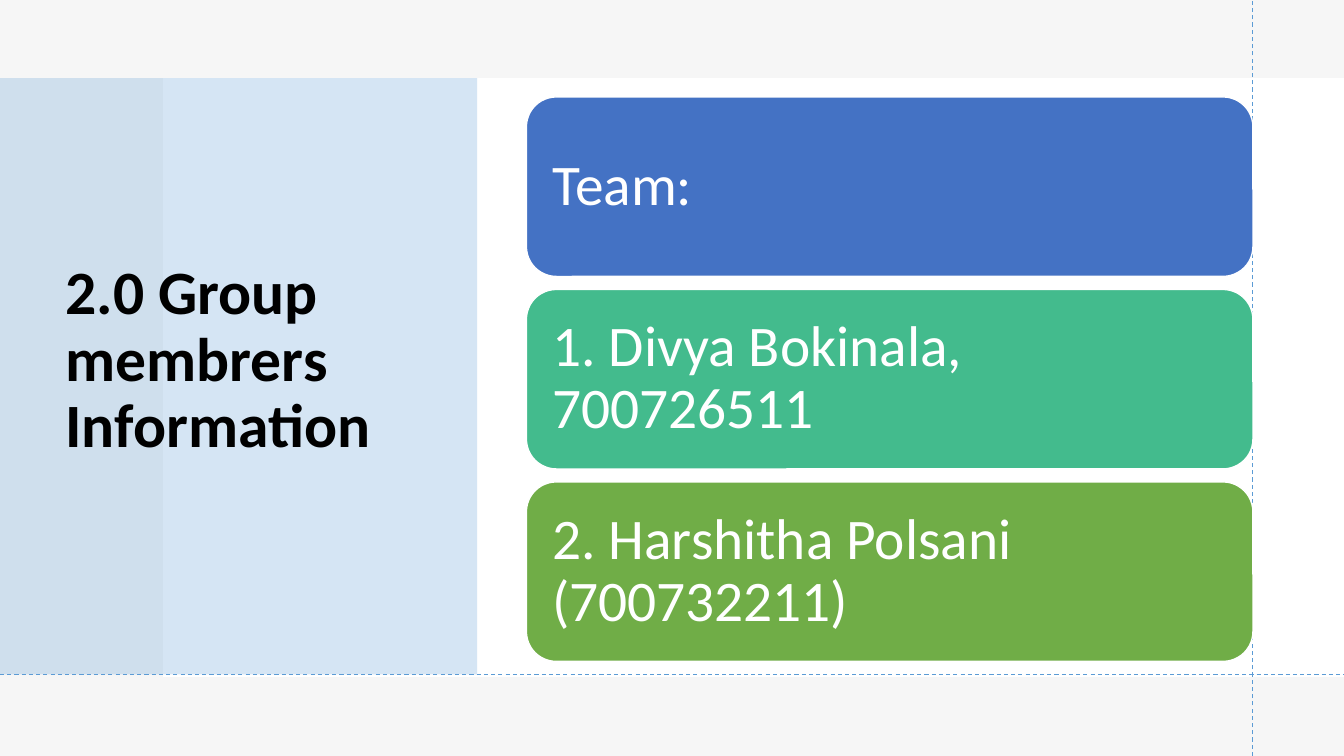
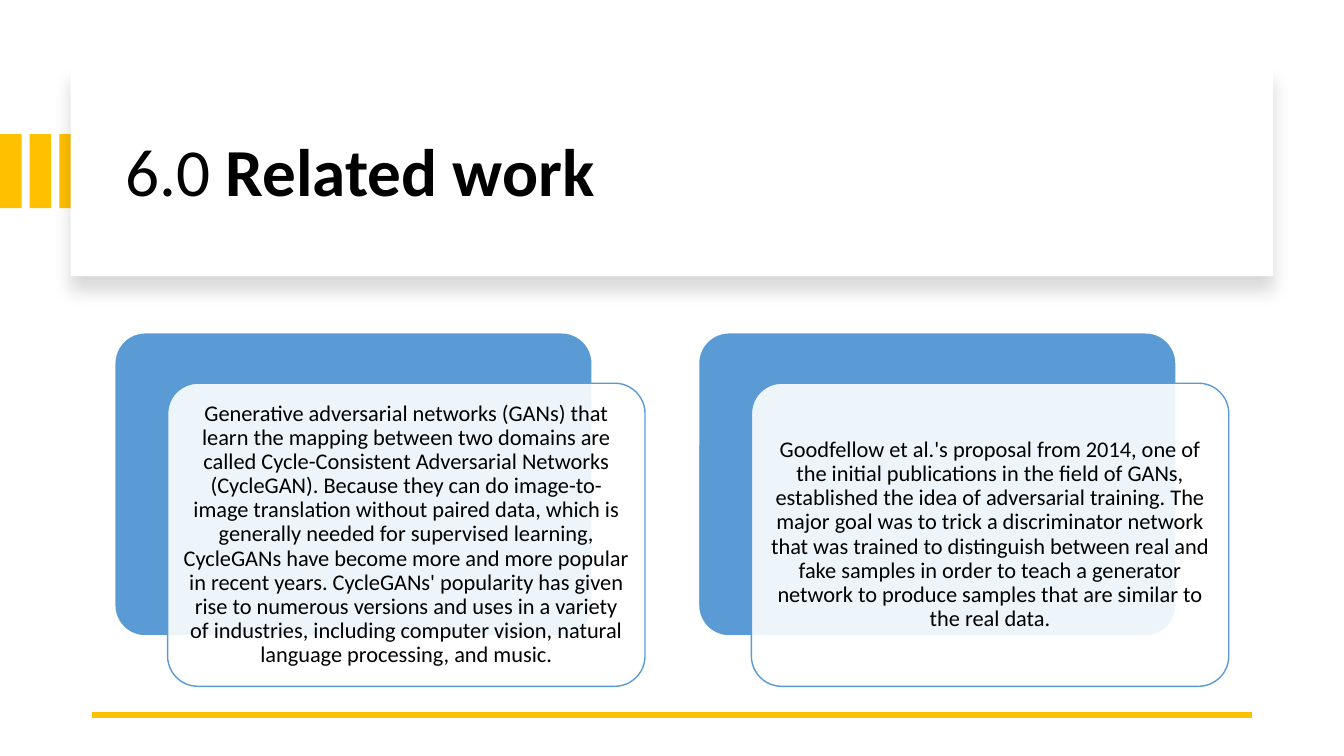
from dataclasses import dataclass
from typing import NamedTuple

from lxml import etree
from pptx import Presentation
from pptx.dml.color import RGBColor
from pptx.enum.dml import MSO_LINE
from pptx.enum.shapes import MSO_CONNECTOR, MSO_SHAPE
from pptx.enum.text import MSO_ANCHOR, PP_ALIGN
from pptx.oxml.ns import qn
from pptx.shapes.autoshape import Shape
from pptx.slide import Slide
from pptx.util import Pt

RECT, ROUND = MSO_SHAPE.RECTANGLE, MSO_SHAPE.ROUNDED_RECTANGLE
LINE, DASH = MSO_CONNECTOR.STRAIGHT, MSO_LINE.DASH
LEFT, CENTER = PP_ALIGN.LEFT, PP_ALIGN.CENTER
MIDDLE = MSO_ANCHOR.MIDDLE


@dataclass(frozen=True)
class Theme:
    white: str = "FFFFFF"
    black: str = "000000"
    gray: str = "E7E6E6"
    sky: str = "5B9BD5"
    blue: str = "4472C4"
    teal: str = "43BB8D"
    green: str = "70AD47"
    gold: str = "FFC000"
    font: str = "Calibri"
    side: float = 44
    head: float = 48
    card: float = 41
    body: float = 16


class Box(NamedTuple):
    x: float
    y: float
    w: float
    h: float


class Run(NamedTuple):
    text: str
    bold: bool = False


class Card(NamedTuple):
    text: str
    fill: str


T = Theme()
WIDE, HIGH = 960, 540
PAGE = Box(0, 0, WIDE, HIGH)

TEAM = [
    Card("Team:", T.blue),
    Card("1. Divya Bokinala, 700726511", T.teal),
    Card("2. Harshitha Polsani (700732211)", T.green),
]
WORKS = [
    "Generative adversarial networks (GANs) that learn the mapping between "
    "two domains are called Cycle-Consistent Adversarial Networks (CycleGAN). "
    "Because they can do image-to-image translation without paired data, "
    "which is generally needed for supervised learning, CycleGANs have become "
    "more and more popular in recent years. CycleGANs' popularity has given "
    "rise to numerous versions and uses in a variety of industries, including "
    "computer vision, natural language processing, and music.",
    "Goodfellow et al.'s proposal from 2014, one of the initial publications "
    "in the field of GANs, established the idea of adversarial training. The "
    "major goal was to trick a discriminator network that was trained to "
    "distinguish between real and fake samples in order to teach a generator "
    "network to produce samples that are similar to the real data.",
]


# Shared drawing helpers
def style(item: object, form: dict) -> None:
    for key, value in form.items():
        setattr(item, key, value)


def fade(node: etree.ElementBase, part: float) -> None:
    etree.SubElement(node, qn("a:alpha"), val=str(round(part * 1000)))


def shape(slide: Slide, box: Box, fill: str, alpha: float = 100,
          edge: str = "", kind: MSO_SHAPE = RECT) -> Shape:
    item = slide.shapes.add_shape(kind, *map(Pt, box))
    item.shadow.inherit = False
    item.fill.solid()
    item.fill.fore_color.rgb = RGBColor.from_string(fill)
    if alpha < 100:
        fade(item.fill._xPr.find(qn("a:solidFill"))[0], alpha)
    if edge:
        item.line.color.rgb = RGBColor.from_string(edge)
        item.line.width = Pt(1)
    else:
        item.line.fill.background()
    return item


def write(item: Shape, runs: list[Run], size: float, color: str,
          align: PP_ALIGN = LEFT, inset: float = 0) -> None:
    frame = item.text_frame
    form = {"word_wrap": True, "vertical_anchor": MIDDLE}
    if inset:
        sides = ("left", "top", "right", "bottom")
        form |= {f"margin_{side}": Pt(inset) for side in sides}
    style(frame, form)
    para = frame.paragraphs[0]
    style(para, {"alignment": align, "line_spacing": 0.9})
    for run in runs:
        part = para.add_run()
        part.text = run.text
        style(part.font, {"name": T.font, "size": Pt(size), "bold": run.bold})
        part.font.color.rgb = RGBColor.from_string(color)


def title(slide: Slide, box: Box, runs: list[Run], size: float) -> None:
    write(slide.shapes.add_textbox(*map(Pt, box)), runs, size, T.black)


def rule(slide: Slide, ends: tuple[float, float, float, float], color: str,
         width: float, dash: MSO_LINE | None = None) -> None:
    item = slide.shapes.add_connector(LINE, *map(Pt, ends))
    item.line.color.rgb = RGBColor.from_string(color)
    style(item.line, {"width": Pt(width), "dash_style": dash})
    etree.SubElement(item._element.spPr, qn("a:effectLst"))


def shade(item: Shape) -> None:
    effect = item._element.spPr.find(qn("a:effectLst"))
    outer = etree.SubElement(
        effect, qn("a:outerShdw"), blurRad=str(Pt(11)), dist=str(Pt(10)),
        dir="5400000", algn="t", rotWithShape="0")
    fade(etree.SubElement(outer, qn("a:srgbClr"), val=T.black), 15)


def paint(slide: Slide, color: str) -> None:
    fill = slide.background.fill
    fill.solid()
    fill.fore_color.rgb = RGBColor.from_string(color)


# Slide 1: group members
def group(slide: Slide) -> None:
    paint(slide, T.white)
    shape(slide, PAGE, T.white)
    shape(slide, PAGE, T.gray, 35)
    shape(slide, Box(116.5, 55.75, 843.5, 427.75), T.white)
    shape(slide, Box(0, 55.75, 340.75, 426), T.sky, 25)
    title(slide, Box(39.75, 53.5, 284.5, 409.5),
          [Run("2.0 Group membrers Information", True)], T.side)
    rule(slide, (895, HIGH, 895, 0), T.sky, 0.75, DASH)
    rule(slide, (0, 481.5, WIDE, 481.5), T.sky, 0.75, DASH)
    for i, card in enumerate(TEAM):
        box = Box(376, 69.25 + 137.5 * i, 519, 128.25)
        item = shape(slide, box, card.fill, edge=T.white, kind=ROUND)
        write(item, [Run(card.text)], T.card, T.white, inset=12.25)


# Slide 2: related work
def work(slide: Slide) -> None:
    paint(slide, T.white)
    for i in range(3):
        shape(slide, Box(21.2 * i, 95.75, 15.4, 53), T.gold)
    shade(shape(slide, Box(50.5, 48, 859, 149.25), T.white))
    title(slide, Box(82.4, 63.75, 801.5, 122.5),
          [Run("6.0 "), Run("Related work", True)], T.head)
    rule(slide, (894, 510.5, 66, 510.5), T.gold, 4.5)
    for i, text in enumerate(WORKS):
        back = Box(82 + 417 * i, 237.75, 341, 216.5)
        front = back._replace(x=back.x + 37.75, y=back.y + 36)
        base = shape(slide, back, T.sky, edge=T.white, kind=ROUND)
        top = shape(slide, front, T.white, 90, T.sky, ROUND)
        for item in (base, top):
            item.adjustments[0] = 0.1
        write(top, [Run(text)], T.body, T.black, CENTER, 5.2)


def main() -> None:
    deck = Presentation()
    style(deck, {"slide_width": Pt(WIDE), "slide_height": Pt(HIGH)})
    for draw in (group, work):
        draw(deck.slides.add_slide(deck.slide_layouts[6]))
    deck.save("out.pptx")


if __name__ == "__main__":
    main()
